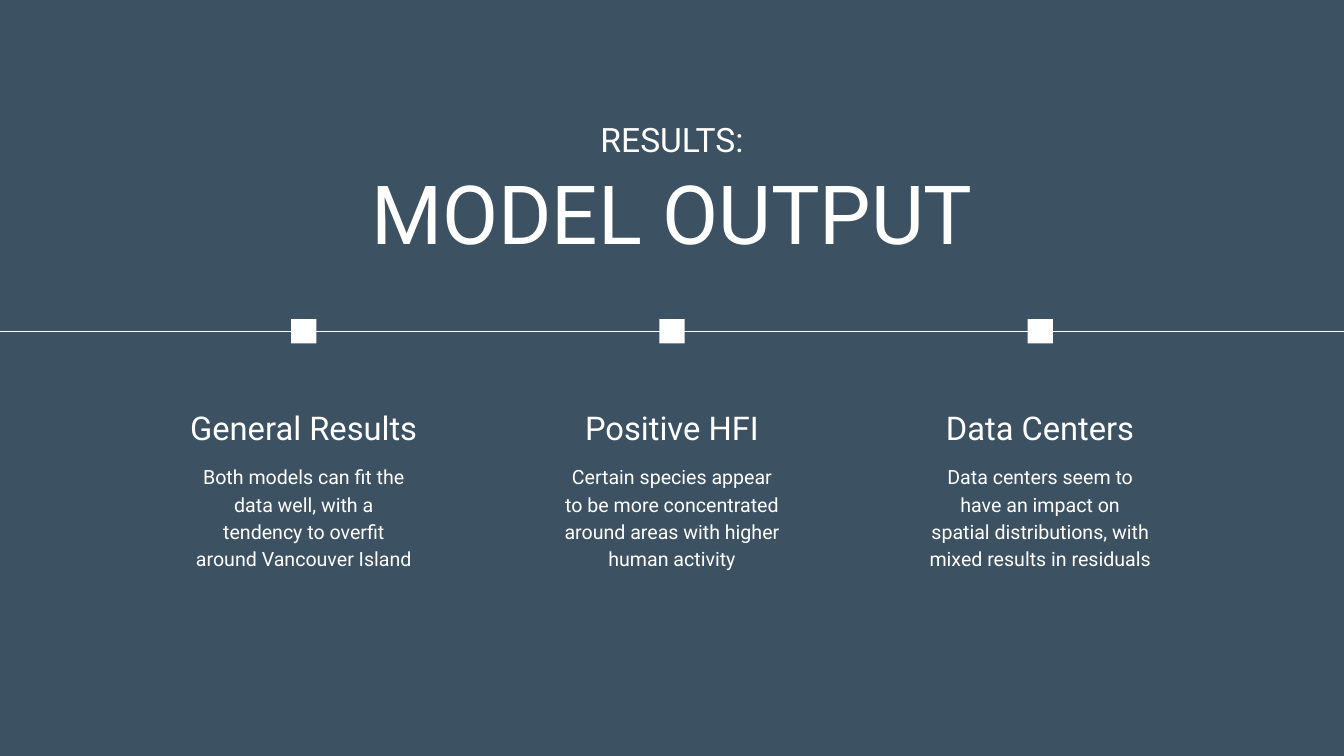
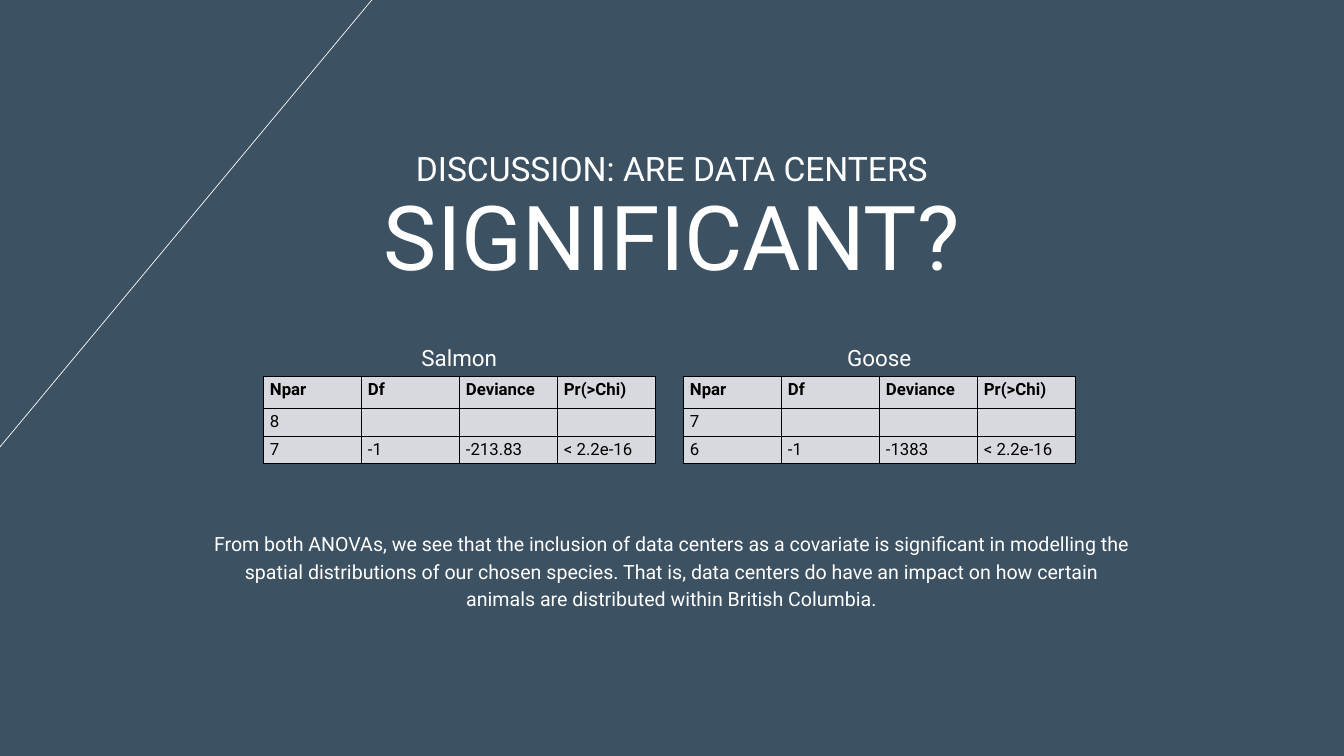
import pptx
import pptx.dml.color
import pptx.enum.shapes
import pptx.enum.text
import pptx.oxml.ns
import pptx.util
from lxml import etree

Pt = pptx.util.Pt
qn = pptx.oxml.ns.qn

WIDTH, HEIGHT = 1440, 810
CENTRE = WIDTH / 2
FONT = "Roboto"
SLATE, WHITE, BLACK, CELL_GREY = "3C5162", "FFFFFF", "000000", "D8D8DF"
TITLE_ONLY, TITLE_AND_BODY = 5, 1

FINDINGS = [
    ("General Results", 307,
     "Both models can fit the data well, with a tendency to overfit around Vancouver Island"),
    ("Positive HFI", 258,
     "Certain species appear to be more concentrated around areas with higher human activity"),
    ("Data Centers", 258,
     "Data centers seem to have an impact on spatial distributions, with mixed results in residuals"),
]
ANOVA_HEADER = ["Npar", "Df", "Deviance", "Pr(>Chi)"]
ANOVAS = [
    ("Salmon", [["8", "", "", ""], ["7", "-1", "-213.83", "< 2.2e-16"]]),
    ("Goose", [["7", "", "", ""], ["6", "-1", "-1383", "< 2.2e-16"]]),
]
CONCLUSION = (
    "From both ANOVAs, we see that the inclusion of data centers as a covariate is significant "
    "in modelling the spatial distributions of our chosen species. That is, data centers do have "
    "an impact on how certain animals are distributed within British Columbia."
)


def paint(color_holder, hex_color):
    color_holder.rgb = pptx.dml.color.RGBColor.from_string(hex_color)


def fill_solid(fill, hex_color):
    fill.solid()
    paint(fill.fore_color, hex_color)


def style_run(run, size, hex_color, bold=False):
    run.font.name = FONT
    run.font.size = Pt(size)
    run.font.bold = bold
    paint(run.font.color, hex_color)


def place(shape, box):
    shape.left, shape.top, shape.width, shape.height = map(Pt, box)


def write_centred(shape, text, size, leading=None, inset=(0, 0)):
    frame = shape.text_frame
    frame.text = text
    frame.word_wrap = True
    frame.auto_size = pptx.enum.text.MSO_AUTO_SIZE.NONE
    frame.vertical_anchor = pptx.enum.text.MSO_ANCHOR.TOP
    frame.margin_left = frame.margin_right = Pt(inset[0])
    frame.margin_top = frame.margin_bottom = Pt(inset[1])
    paragraph = frame.paragraphs[0]
    paragraph.alignment = pptx.enum.text.PP_ALIGN.CENTER
    paragraph.space_before = Pt(0)
    if leading:
        paragraph.line_spacing = Pt(leading)
    style_run(paragraph.runs[0], size, WHITE)


def add_label(slide, box, *text_style, **options):
    label = slide.shapes.add_textbox(*map(Pt, box))
    write_centred(label, *text_style, **options)


def add_rule(slide, start, end):
    rule = slide.shapes.add_connector(
        pptx.enum.shapes.MSO_CONNECTOR.STRAIGHT, *map(Pt, start + end))
    paint(rule.line.color, WHITE)
    rule.line.width = Pt(0.75)
    etree.SubElement(rule._element.spPr, qn("a:effectLst"))


def add_heading(slide, top, kicker, kicker_width, title, title_box, title_size):
    add_label(slide, (CENTRE - kicker_width / 2, top, kicker_width, 49), kicker, 36, 50.4)
    title_offset, title_width, title_height = title_box
    place(slide.shapes.title,
          (CENTRE - title_width / 2, top + title_offset, title_width, title_height))
    write_centred(slide.shapes.title, title, title_size, 122.4)


def add_finding(slide, centre, top, name, name_width, detail):
    marker_width, detail_width = 27, 238
    marker = slide.shapes.add_shape(
        pptx.enum.shapes.MSO_SHAPE.RECTANGLE,
        *map(Pt, (centre - marker_width / 2, top, marker_width, 26)))
    marker.shadow.inherit = False
    fill_solid(marker.fill, WHITE)
    marker.line.fill.background()
    add_label(slide, (centre - name_width / 2, top + 88.5, name_width, 47.5), name, 35, 49)
    add_label(slide, (centre - detail_width / 2, top + 152, detail_width, 145), detail, 21, 29.4)


def border_cell(cell):
    properties = cell._tc.get_or_add_tcPr()
    for side in ("lnL", "lnR", "lnT", "lnB"):
        edge = etree.SubElement(properties, qn(f"a:{side}"), w=str(Pt(1)))
        edge_fill = etree.SubElement(edge, qn("a:solidFill"))
        etree.SubElement(edge_fill, qn("a:srgbClr"), val=BLACK)


def add_anova(slide, left, top, width, species, results):
    add_label(slide, (left, top, width, 36), species, 24, inset=(7.2, 3.6))
    rows = [ANOVA_HEADER] + results
    heights = [35] + [29.3] * len(results)
    table = slide.shapes.add_table(
        len(rows), len(ANOVA_HEADER),
        *map(Pt, (left, top + 38, width, sum(heights)))).table
    table.first_row = table.horz_banding = False
    for column in table.columns:
        column.width = Pt(width / len(ANOVA_HEADER))
    for row_index, values in enumerate(rows):
        table.rows[row_index].height = Pt(heights[row_index])
        for column_index, value in enumerate(values):
            cell = table.cell(row_index, column_index)
            border_cell(cell)
            fill_solid(cell.fill, CELL_GREY)
            cell.text = value
            for run in cell.text_frame.paragraphs[0].runs:
                style_run(run, 18, BLACK, bold=row_index == 0)


def add_conclusion(slide, box):
    conclusion = slide.placeholders[1]
    place(conclusion, box)
    write_centred(conclusion, CONCLUSION, 21, 29.4)
    properties = conclusion.text_frame.paragraphs[0]._p.get_or_add_pPr()
    properties.set("marL", "0")
    properties.set("indent", "0")
    etree.SubElement(properties, qn("a:buNone"))


def build_model_output(deck):
    slide = deck.slides.add_slide(deck.slide_layouts[TITLE_ONLY])
    add_heading(slide, 120, "RESULTS:", 577, "MODEL OUTPUT", (37, 814, 119), 87.4)
    add_rule(slide, (0, 355), (WIDTH, 355))
    for position, finding in enumerate(FINDINGS, start=-1):
        add_finding(slide, CENTRE + position * 394.5, 342, *finding)


def build_significance(deck):
    slide = deck.slides.add_slide(deck.slide_layouts[TITLE_AND_BODY])
    add_heading(slide, 151, "DISCUSSION: ARE DATA CENTERS", 674,
                "SIGNIFICANT?", (36, 715, 122), 96)
    add_rule(slide, (-242.6, 770.4), (431.3, -39.6))
    table_width, gap = 420, 30
    for position, anova in enumerate(ANOVAS):
        add_anova(slide, 282 + position * (table_width + gap), 365, table_width, *anova)
    add_conclusion(slide, (224, 566, 991, 87))


def main():
    deck = pptx.Presentation()
    deck.slide_width, deck.slide_height = Pt(WIDTH), Pt(HEIGHT)
    fill_solid(deck.slide_master.background.fill, SLATE)
    build_model_output(deck)
    build_significance(deck)
    deck.save("out.pptx")


if __name__ == "__main__":
    main()
